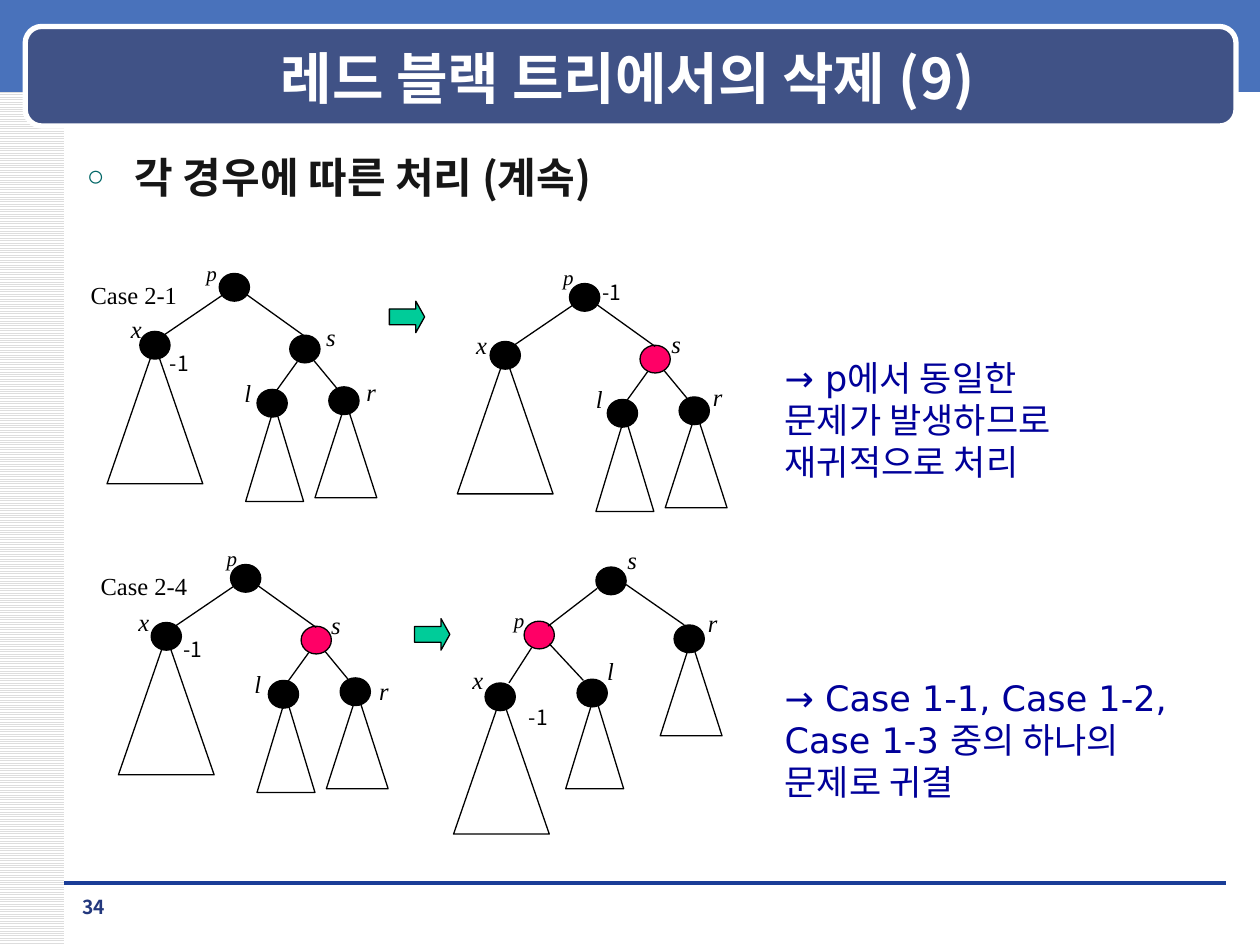
from lxml import etree
from pptx import Presentation
from pptx import util as u
from pptx.dml.color import RGBColor
from pptx.enum import dml, shapes, text
from pptx.oxml.ns import qn

KR, SERIF, SANS = "Noto Sans CJK KR", "Times New Roman", "DejaVu Sans"
BLACK, RED = "000000", "FF0066"
NODE_W, NODE_H = 0.24, 0.22

# Offsets from the top left of a tree: nodes (x, y), subtrees (x, y, w, h),
# edges (x1, y1, x2, y2).
P_ROOT = {
    "nodes": {"p": (0.89, 0), "x": (0.26, 0.46), "s": (1.45, 0.49),
              "l": (1.19, 0.92), "r": (1.76, 0.9)},
    "subtrees": [(0, 0.57, 0.76, 1.1), (1.1, 1.05, 0.46, 0.76),
                 (1.65, 1.02, 0.49, 0.76)],
    "edges": [(0.92, 0.17, 0.45, 0.49), (1.11, 0.17, 1.57, 0.5),
              (1.51, 0.7, 1.33, 0.95), (1.64, 0.69, 1.83, 0.92)],
}
S_ROOT = {
    "nodes": {"s": (1.13, 0), "p": (0.56, 0.43), "r": (1.75, 0.46),
              "x": (0.25, 0.92), "l": (0.98, 0.89)},
    "subtrees": [(0, 1.02, 0.76, 1.1), (0.89, 1.01, 0.46, 0.75),
                 (1.64, 0.58, 0.49, 0.76)],
    "edges": [(1.14, 0.17, 0.75, 0.47), (1.37, 0.14, 1.83, 0.46),
              (0.62, 0.64, 0.44, 0.92), (0.76, 0.61, 1.03, 0.9)],
}
# left, top, form, red node, label offsets
TREES = [
    (0.85, 2.17, P_ROOT, None,
     {"p": (0.69, -0.15), "x": (0.09, 0.27), "s": (1.64, 0.34), "l": (0.99, 0.78),
      "r": (1.96, 0.77), "-1": (0.4, 0.56), "Case 2-1": (-0.23, 0)}),
    (3.63, 2.25, P_ROOT, "s",
     {"p": (0.74, -0.2), "x": (0.05, 0.32), "s": (1.6, 0.31), "l": (1, 0.75),
      "r": (1.93, 0.73), "-1": (1.05, -0.08)}),
    (0.94, 4.48, P_ROOT, "s",
     {"p": (0.76, -0.2), "x": (0.06, 0.29), "s": (1.59, 0.31), "l": (0.98, 0.78),
      "r": (1.97, 0.84), "-1": (0.42, 0.52), "Case 2-4": (-0.24, 0)}),
    (3.6, 4.5, S_ROOT, "p",
     {"p": (0.38, 0.27), "x": (0.05, 0.73), "s": (1.28, -0.22), "l": (1.12, 0.66),
      "r": (1.92, 0.28), "-1": (0.5, 1.04)}),
]


def rgb(value):
    return RGBColor.from_string(value)


def inches(*values):
    return [u.Inches(v) for v in values]


def add_shape(s, kind, box, fill=None, line=None, width=0.75):
    sp = s.shapes.add_shape(kind, *inches(*box))
    sp.shadow.inherit = False
    if fill:
        sp.fill.solid()
        sp.fill.fore_color.rgb = rgb(fill)
    else:
        sp.fill.background()
    if line:
        sp.line.color.rgb = rgb(line)
        sp.line.width = u.Pt(width)
    else:
        sp.line.fill.background()
    return sp


def add_line(s, ends, color=BLACK, width=0.75):
    line = s.shapes.add_connector(shapes.MSO_CONNECTOR.STRAIGHT, *inches(*ends))
    line.line.color.rgb = rgb(color)
    line.line.width = u.Pt(width)
    etree.SubElement(line.element.spPr, qn("a:effectLst"))


def add_run(p, words, size, font, color, bold=False, italic=False):
    r = p.add_run()
    r.text = words
    r.font.size, r.font.name = u.Pt(size), font
    r.font.bold, r.font.italic = bold, italic
    r.font.color.rgb = rgb(color)
    east = etree.SubElement(r.font._element, qn("a:ea"))
    east.set("typeface", KR)


def add_text(s, box, wrap=True):
    tf = s.shapes.add_textbox(*inches(*box)).text_frame
    tf.word_wrap = wrap
    return tf


def place(sp, box):
    """Moves a placeholder to a box, in front of what is drawn so far."""
    sp.left, sp.top, sp.width, sp.height = inches(*box)
    sp.element.getparent().append(sp.element)
    return sp.text_frame


def add_frame(s):
    """Side stripes, top band, title plate and footer rule."""
    stripes = add_shape(s, shapes.MSO_SHAPE.RECTANGLE, (0, 0, 0.51, 7.5))
    stripes.fill.patterned()
    stripes.fill.pattern = dml.MSO_PATTERN.LIGHT_HORIZONTAL
    stripes.fill.fore_color.rgb = rgb("DDDDDD")
    stripes.fill.back_color.rgb = rgb("FFFFFF")
    add_shape(s, shapes.MSO_SHAPE.RECTANGLE, (0, -0.03, 10, 0.76), "4972BB")
    add_line(s, (0.51, 7.01, 9.73, 7.01), "1A3D97", 0)
    add_shape(s, shapes.MSO_SHAPE.ROUNDED_RECTANGLE, (0.2, 0.21, 9.61, 0.79),
              "405286", "FFFFFF", 3)


def add_title(s, box, words):
    tf = place(s.shapes.title, box)
    tf.vertical_anchor = text.MSO_ANCHOR.MIDDLE
    p = tf.paragraphs[0]
    p.alignment = text.PP_ALIGN.CENTER
    add_run(p, words, 32, KR, "FFFFFF", bold=True)


def add_body(s, box, words):
    p = place(s.placeholders[1], box).paragraphs[0]
    p.space_before = u.Pt(0)
    pPr = p._p.get_or_add_pPr()
    pPr.set("marL", str(u.Inches(0.38)))
    pPr.set("indent", str(u.Inches(-0.38)))
    color = etree.SubElement(pPr, qn("a:buClr"))
    etree.SubElement(color, qn("a:srgbClr")).set("val", "006666")
    etree.SubElement(pPr, qn("a:buSzPct")).set("val", "70000")
    etree.SubElement(pPr, qn("a:buChar")).set("char", "○")
    add_run(p, words, 24, KR, "161616", bold=True)


def add_label(s, left, top, words):
    italic = words.isalpha()
    size = 12 if words in ("p", "-1") else 14
    width = {"-1": 0.4}.get(words, 0.28 if italic else 0.89)
    tf = add_text(s, (left, top, width, 0.3 if size == 12 else 0.33), wrap=False)
    font = KR if words == "-1" else SERIF
    add_run(tf.paragraphs[0], words, size, font, BLACK, italic=italic)


def add_tree(s, left, top, form, red, labels):
    for x, y, w, h in form["subtrees"]:
        add_shape(s, shapes.MSO_SHAPE.ISOSCELES_TRIANGLE, (left + x, top + y, w, h),
                  line=BLACK)
    for name, (x, y) in form["nodes"].items():
        add_shape(s, shapes.MSO_SHAPE.OVAL, (left + x, top + y, NODE_W, NODE_H),
                  RED if name == red else BLACK, BLACK)
    for x1, y1, x2, y2 in form["edges"]:
        add_line(s, (left + x1, top + y1, left + x2, top + y2))
    for words, (x, y) in labels.items():
        add_label(s, left + x, top + y, words)


def add_arrow(s, left, top):
    arrow = add_shape(s, shapes.MSO_SHAPE.RIGHT_ARROW, (left, top, 0.28, 0.25),
                      "00CC99", BLACK)
    arrow.adjustments[1] = 0.28


def add_note(s, box, lines):
    tf = add_text(s, box)
    for i, words in enumerate(lines):
        p = tf.add_paragraph() if i else tf.paragraphs[0]
        p.level = 1
        pPr = p._p.get_or_add_pPr()
        pPr.set("marL", str(u.Inches(0.5)))
        pPr.set("indent", "0")
        add_run(p, words, 20, SANS, "000099")


def add_page_number(s, box, number):
    p = add_text(s, box).paragraphs[0]
    p.alignment = text.PP_ALIGN.CENTER
    add_run(p, number, 11, KR, "23387D", bold=True)


def main():
    prs = Presentation()
    prs.slide_width, prs.slide_height = inches(10, 7.5)
    s = prs.slides.add_slide(prs.slide_layouts[1])
    add_frame(s)
    add_title(s, (0.71, 0.3, 8.54, 0.62), "레드 블랙 트리에서의 삭제 (9)")
    add_body(s, (0.59, 1.15, 8.9, 5.75), "각 경우에 따른 처리 (계속)")
    for tree in TREES:
        add_tree(s, *tree)
    add_arrow(s, 3.09, 2.39)
    add_arrow(s, 3.29, 4.91)
    add_note(s, (5.63, 2.78, 3.23, 1.11),
             ["→ p에서 동일한 문제가 발생하므로 재귀적으로 처리"])
    add_note(s, (5.63, 5.32, 3.86, 1.11),
             ["→ Case 1-1, Case 1-2,", "Case 1-3 중의 하나의 문제로 귀결"])
    add_page_number(s, (0.51, 7.06, 0.47, 0.27), "34")
    prs.save("out.pptx")


if __name__ == "__main__":
    main()
